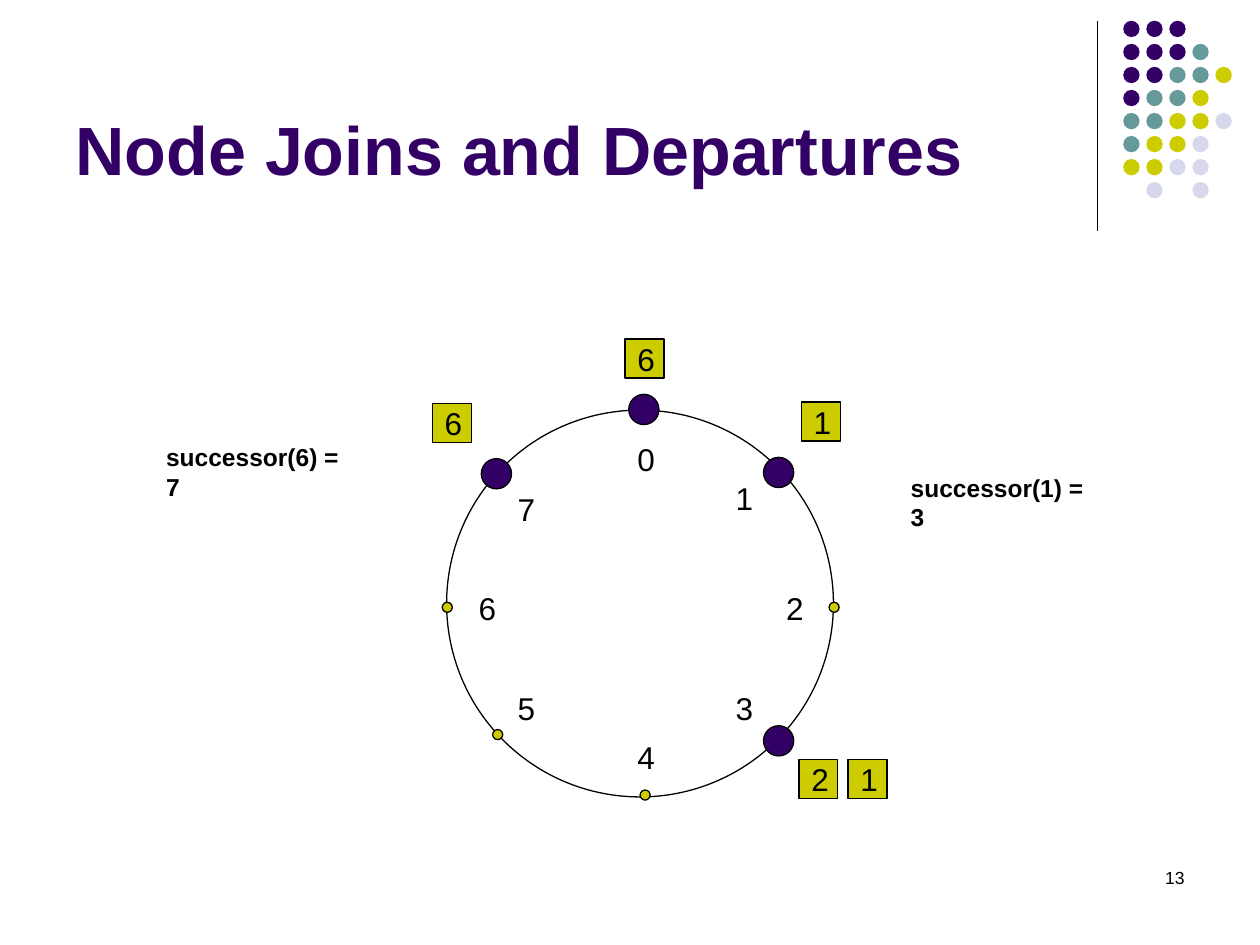
from dataclasses import dataclass

from lxml import etree
from pptx import Presentation
from pptx.dml.color import RGBColor
from pptx.enum.shapes import MSO_CONNECTOR, MSO_SHAPE
from pptx.enum.text import MSO_ANCHOR, PP_ALIGN
from pptx.oxml.ns import qn
from pptx.util import Inches, Pt

OVAL = MSO_SHAPE.OVAL
RECTANGLE = MSO_SHAPE.RECTANGLE
STRAIGHT = MSO_CONNECTOR.STRAIGHT
TOP, MIDDLE, BOTTOM = MSO_ANCHOR.TOP, MSO_ANCHOR.MIDDLE, MSO_ANCHOR.BOTTOM
LEFT, RIGHT = PP_ALIGN.LEFT, PP_ALIGN.RIGHT
TITLE_ONLY = 5


@dataclass(frozen=True)
class Theme:
    """Colours and type sizes of the slide."""

    font: str = "Arial"
    ink: RGBColor = RGBColor(0x00, 0x00, 0x00)
    purple: RGBColor = RGBColor(0x33, 0x00, 0x66)
    teal: RGBColor = RGBColor(0x66, 0x99, 0x99)
    yellow: RGBColor = RGBColor(0xCC, 0xCC, 0x00)
    lavender: RGBColor = RGBColor(0xD8, 0xD8, 0xEC)
    title_size: int = 39
    key_size: int = 18
    note_size: int = 14
    number_size: int = 10
    line_width: float = 0.75


def apply(target, values):
    """Set each named attribute of the target."""
    for name, value in values.items():
        setattr(target, name, value)


class SlideBuilder:
    """Holds the theme and the current slide and draws elements on it."""

    def __init__(self, slide, theme):
        self.slide = slide
        self.theme = theme

    def set_text(self, shape, text, size, color=None, bold=False, align=LEFT, anchor=MIDDLE, wrap=False):
        """Put one formatted paragraph into a shape."""
        frame = shape.text_frame
        margins = {"margin_left": Inches(0.1), "margin_right": Inches(0.1),
                   "margin_top": Inches(0.05), "margin_bottom": Inches(0.05)}
        apply(frame, {"text": text, "word_wrap": wrap, "vertical_anchor": anchor, **margins})
        paragraph = frame.paragraphs[0]
        paragraph.alignment = align
        font = paragraph.runs[0].font
        apply(font, {"name": self.theme.font, "size": Pt(size), "bold": bold})
        font.color.rgb = color or self.theme.ink

    def title(self, text, left, top, width, height):
        """Move and format the title placeholder."""
        shape = self.slide.shapes.title
        apply(shape, {"left": Inches(left), "top": Inches(top),
                      "width": Inches(width), "height": Inches(height)})
        self.set_text(shape, text, self.theme.title_size, self.theme.purple, True, anchor=BOTTOM, wrap=True)

    def label(self, text, left, top, width, height, size, **text_format):
        """Add a text box."""
        box = self.slide.shapes.add_textbox(Inches(left), Inches(top), Inches(width), Inches(height))
        self.set_text(box, text, size, **text_format)

    def shape(self, kind, left, top, width, height, fill=None, outlined=True):
        """Add a preset shape with a plain fill and outline."""
        shape = self.slide.shapes.add_shape(
            kind, Inches(left), Inches(top), Inches(width), Inches(height))
        shape.shadow.inherit = False
        if fill is None:
            shape.fill.background()
        else:
            shape.fill.solid()
            shape.fill.fore_color.rgb = fill
        if outlined:
            shape.line.color.rgb = self.theme.ink
            shape.line.width = Pt(self.theme.line_width)
        else:
            shape.line.fill.background()
        return shape

    def circle(self, center_x, center_y, diameter, fill=None, outlined=True):
        """Add a circle around a centre."""
        radius = diameter / 2
        self.shape(OVAL, center_x - radius, center_y - radius, diameter, diameter, fill, outlined)

    def key(self, text, left, top):
        """Add a square that holds a stored key."""
        square = self.shape(RECTANGLE, left, top, 0.31, 0.31, self.theme.yellow)
        self.set_text(square, text, self.theme.key_size)

    def line(self, start_x, start_y, end_x, end_y):
        """Add a straight line."""
        connector = self.slide.shapes.add_connector(
            STRAIGHT, Inches(start_x), Inches(start_y), Inches(end_x), Inches(end_y))
        connector.line.color.rgb = self.theme.ink
        connector.line.width = Pt(self.theme.line_width)
        etree.SubElement(connector._element.spPr, qn("a:effectLst"))

    def dot_grid(self, rows, left, top, pitch, diameter):
        """Add the corner ornament from rows of colour letters."""
        theme = self.theme
        colors = {"P": theme.purple, "T": theme.teal, "Y": theme.yellow, "L": theme.lavender}
        for row, letters in enumerate(rows):
            for column, letter in enumerate(letters):
                if letter in colors:
                    self.circle(left + column * pitch, top + row * pitch, diameter,
                                colors[letter], outlined=False)


DOT_ROWS = ["PPP", "PPPT", "PPTTY", "PTTY", "TTYYL", "TYYL", "YYLL", ".L.L"]

LIVE_NODES = [(5.11, 3.25), (6.18, 3.75), (6.18, 5.88), (3.94, 3.76)]
EMPTY_NODES = [(6.62, 4.82), (5.12, 6.31), (3.95, 5.83), (3.55, 4.82)]
NODE_LABELS = [(4.96, 3.49), (5.74, 3.8), (6.14, 4.67), (5.74, 5.46),
               (4.96, 5.85), (4.01, 5.46), (3.7, 4.67), (4.01, 3.88)]
KEYS = [("6", 4.96, 2.69), ("1", 6.36, 3.19), ("2", 6.34, 6.03),
        ("6", 3.43, 3.2), ("1", 6.73, 6.03)]
SUCCESSORS = [("successor(6) = 7", 1.22, 3.59), ("successor(1) = 3", 7.13, 3.83)]


def main():
    """Build the slide and save it."""
    presentation = Presentation()
    apply(presentation, {"slide_width": Inches(10), "slide_height": Inches(7.5)})
    slide = presentation.slides.add_slide(presentation.slide_layouts[TITLE_ONLY])
    theme = Theme()
    builder = SlideBuilder(slide, theme)

    builder.line(8.71, 0.17, 8.71, 1.83)
    builder.dot_grid(DOT_ROWS, 8.98, 0.23, 1.28 / 7, 0.13)
    builder.label("13", 7.17, 6.83, 2.33, 0.5, theme.number_size, align=RIGHT, anchor=TOP, wrap=True)
    builder.title("Node Joins and Departures", 0.5, 0.13, 8.25, 1.42)

    builder.circle(5.08, 4.79, 3.07)
    for number, (left, top) in enumerate(NODE_LABELS):
        builder.label(str(number), left, top, 0.32, 0.31, theme.key_size)
    for center in EMPTY_NODES:
        builder.circle(*center, 0.08, theme.yellow)
    for center in LIVE_NODES:
        builder.circle(*center, 0.24, theme.purple)
    for key in KEYS:
        builder.key(*key)
    for text, left, top in SUCCESSORS:
        builder.label(text, left, top, 1.73, 0.31, theme.note_size, bold=True)

    presentation.save("out.pptx")


if __name__ == "__main__":
    main()
